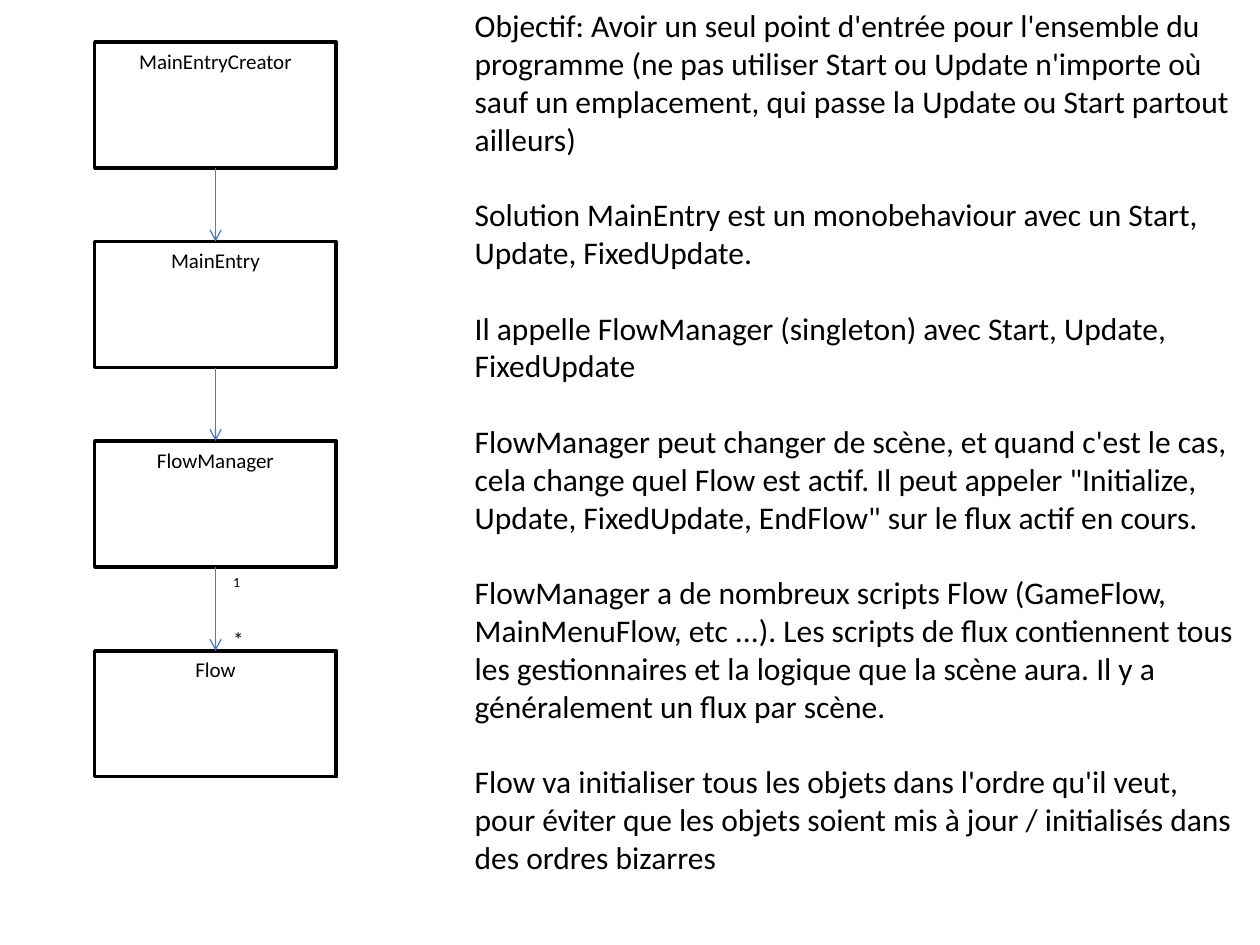
from dataclasses import dataclass

from lxml import etree
from pptx import Presentation
from pptx.dml.color import RGBColor
from pptx.enum import shapes, text
from pptx.oxml import ns
from pptx.util import Cm, Pt


@dataclass(frozen=True)
class Theme:
    font: str = "Calibri"
    ink: RGBColor = RGBColor(0, 0, 0)
    paper: RGBColor = RGBColor(255, 255, 255)
    arrow: RGBColor = RGBColor(0x4B, 0x7E, 0xBC)
    body: float = 18
    label: float = 12
    small: float = 8
    border: float = 2
    arrow_width: float = 0.75
    paragraph_gap: float = 21.6


theme = Theme()

classes = [
    ("MainEntryCreator", 0.85),
    ("MainEntry", 4.87),
    ("FlowManager", 8.89),
    ("Flow", 13.12),
]
class_left, class_width, class_height = 1.91, 4.87, 2.54

explanation = [
    "Objectif: Avoir un seul point d'entrée pour l'ensemble du programme (ne pas utiliser Start ou Update n'importe où sauf un emplacement, qui passe la Update ou Start partout ailleurs)",
    "Solution MainEntry est un monobehaviour avec un Start, Update, FixedUpdate.",
    "Il appelle FlowManager (singleton) avec Start, Update, FixedUpdate",
    "FlowManager peut changer de scène, et quand c'est le cas, cela change quel Flow est actif. Il peut appeler \"Initialize, Update, FixedUpdate, EndFlow\" sur le flux actif en cours.",
    "FlowManager a de nombreux scripts Flow (GameFlow, MainMenuFlow, etc ...). Les scripts de flux contiennent tous les gestionnaires et la logique que la scène aura. Il y a généralement un flux par scène.",
    "Flow va initialiser tous les objets dans l'ordre qu'il veut, pour éviter que les objets soient mis à jour / initialisés dans des ordres bizarres",
]
explanation_area = (9.32, 0, 15.88, 17.96)

multiplicities = [
    ("*", theme.label, (4.45, 12.5, 0.74, 0.76)),
    ("1", theme.small, (4.45, 11.43, 0.66, 0.61)),
]


def write(frame, paragraphs, size, align, gap=0):
    frame.text = "\n".join(paragraphs)
    for index, paragraph in enumerate(frame.paragraphs):
        paragraph.alignment = align
        paragraph.space_before = Pt(gap if index else 0)
        for run in paragraph.runs:
            run.font.name = theme.font
            run.font.size = Pt(size)
            run.font.color.rgb = theme.ink


def add_class(slide, name, top):
    box = slide.shapes.add_shape(
        shapes.MSO_SHAPE.RECTANGLE,
        Cm(class_left), Cm(top), Cm(class_width), Cm(class_height),
    )
    box.shadow.inherit = False
    box.fill.solid()
    box.fill.fore_color.rgb = theme.paper
    box.line.color.rgb = theme.ink
    box.line.width = Pt(theme.border)
    box.text_frame.vertical_anchor = text.MSO_ANCHOR.TOP
    write(box.text_frame, [name], theme.label, text.PP_ALIGN.CENTER)
    return box


def add_call(slide, caller, callee):
    call = slide.shapes.add_connector(shapes.MSO_CONNECTOR.STRAIGHT, 0, 0, 0, 0)
    call.begin_connect(caller, 2)
    call.end_connect(callee, 0)
    call.line.color.rgb = theme.arrow
    call.line.width = Pt(theme.arrow_width)
    outline = call.line._get_or_add_ln()
    etree.SubElement(outline, ns.qn("a:tailEnd"), type="arrow")
    etree.SubElement(call._element.spPr, ns.qn("a:effectLst"))


def add_note(slide, area, paragraphs, size, wrap, gap=0):
    note = slide.shapes.add_textbox(*map(Cm, area))
    note.text_frame.word_wrap = wrap
    note.text_frame.auto_size = text.MSO_AUTO_SIZE.SHAPE_TO_FIT_TEXT
    write(note.text_frame, paragraphs, size, text.PP_ALIGN.LEFT, gap)


deck = Presentation()
deck.slide_width, deck.slide_height = Cm(25.4), Cm(19.05)
slide = deck.slides.add_slide(deck.slide_layouts[6])

class_boxes = [add_class(slide, name, top) for name, top in classes]
for caller, callee in zip(class_boxes, class_boxes[1:]):
    add_call(slide, caller, callee)

add_note(slide, explanation_area, explanation, theme.body, True, theme.paragraph_gap)
for mark, size, area in multiplicities:
    add_note(slide, area, [mark], size, False)

deck.save("out.pptx")
